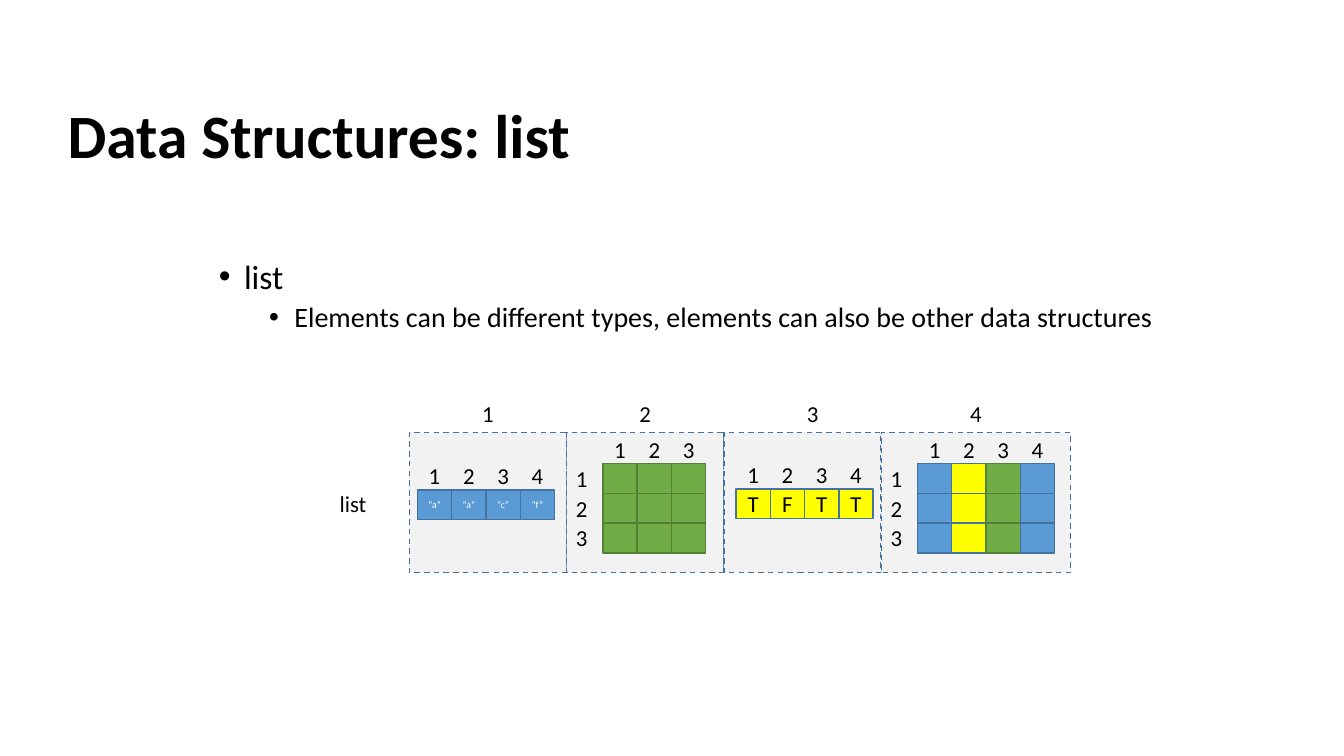
from lxml.etree import SubElement
from pptx import Presentation
from pptx.dml.color import RGBColor
from pptx.enum.dml import MSO_LINE
from pptx.enum.shapes import MSO_SHAPE
from pptx.enum.text import MSO_ANCHOR, MSO_AUTO_SIZE, PP_ALIGN
from pptx.oxml.ns import qn
from pptx.util import Inches, Pt

COLOURS = {
    "text": "000000", "light_text": "FFFFFF", "panel": "F2F2F2",
    "blue": "5B9BD5", "yellow": "FFFF00", "green": "70AD47",
    "blue_line": "43739E", "green_line": "538035",
}
FONT = "Calibri"
LABEL_SIZE = 16.3

# Grid of the diagram, in inches
CELL_WIDTH, CELL_HEIGHT = 0.34, 0.295
LABEL_HEIGHT = 0.38
COLUMN_LABEL_RISE = 0.33
ROW_LABEL_SHIFT = 0.38
PANEL_LEFT, PANEL_TOP, PANEL_HEIGHT = 4.06, 4.29, 1.39
PANEL_WIDTHS = [1.56, 1.56, 1.56, 1.88]
INDEX_LEFTS = [4.66, 6.22, 7.88, 9.5]
INDEX_WIDTH = 0.36


def colour(name):
    return RGBColor.from_string(COLOURS[name])


def place(shape, left, top, width, height):
    shape.left, shape.top = Inches(left), Inches(top)
    shape.width, shape.height = Inches(width), Inches(height)


def write(paragraph, text, size=LABEL_SIZE, ink="text", bold=False,
          align=PP_ALIGN.CENTER, spacing=None, before=None):
    """Fill a paragraph with one formatted run."""
    paragraph.alignment = align
    if spacing:
        paragraph.line_spacing = spacing
    if before is not None:
        paragraph.space_before = Pt(before)
    run = paragraph.add_run()
    run.text = text
    run.font.name, run.font.size, run.font.bold = FONT, Pt(size), bold
    run.font.color.rgb = colour(ink)


def set_margins(frame, horizontal=0, vertical=0):
    frame.margin_left = frame.margin_right = Inches(horizontal)
    frame.margin_top = frame.margin_bottom = Inches(vertical)


def set_bullet(paragraph, margin, hanging):
    properties = paragraph._p.get_or_add_pPr()
    properties.set("marL", str(Inches(margin)))
    properties.set("indent", str(-Inches(hanging)))
    SubElement(properties, qn("a:buFont")).set("typeface", "Arial")
    SubElement(properties, qn("a:buChar")).set("char", "•")


def add_label(shapes, text, left, top, width=CELL_WIDTH, margin=0, **style):
    box = shapes.add_textbox(Inches(left), Inches(top), Inches(width), Inches(LABEL_HEIGHT))
    box.text_frame.word_wrap = True
    set_margins(box.text_frame, margin, 0.05)
    write(box.text_frame.paragraphs[0], text, **style)


def add_box(shapes, left, top, width, height, fill, line, dashed=False):
    box = shapes.add_shape(MSO_SHAPE.RECTANGLE, Inches(left), Inches(top),
                           Inches(width), Inches(height))
    box.shadow.inherit = False
    box.fill.solid()
    box.fill.fore_color.rgb = colour(fill)
    box.line.color.rgb = colour(line)
    box.line.width = Pt(1)
    if dashed:
        box.line.dash_style = MSO_LINE.DASH
    return box


def add_cells(shapes, left, top, fills, rows=1, texts=None, **style):
    """Draw numbered cells: one fill per column, row numbers if several rows."""
    for column, fill in enumerate(fills):
        x = left + column * CELL_WIDTH
        add_label(shapes, str(column + 1), x, top - COLUMN_LABEL_RISE)
        line = "green_line" if fill == "green" else "blue_line"
        for row in range(rows):
            cell = add_box(shapes, x, top + row * CELL_HEIGHT,
                           CELL_WIDTH, CELL_HEIGHT, fill, line)
            if texts:
                frame = cell.text_frame
                set_margins(frame)
                frame.vertical_anchor = MSO_ANCHOR.MIDDLE
                write(frame.paragraphs[0], texts[column], **style)
    if rows > 1:
        for row in range(rows):
            add_label(shapes, str(row + 1), left - ROW_LABEL_SHIFT,
                      top - 0.04 + row * CELL_HEIGHT)


def add_title(slide, text):
    title = slide.shapes.title
    place(title, 0.67, 0.75, 12, 1.25)
    frame = title.text_frame
    frame.auto_size = MSO_AUTO_SIZE.NONE
    frame.vertical_anchor = MSO_ANCHOR.MIDDLE
    set_margins(frame)
    write(frame.paragraphs[0], text, size=44, bold=True, align=PP_ALIGN.LEFT, spacing=0.9)


def add_bullets(slide, items):
    body = slide.placeholders[1]
    place(body, 2.17, 2.58, 9.85, 0.99)
    frame = body.text_frame
    frame.auto_size = MSO_AUTO_SIZE.NONE
    set_margins(frame)
    for level, text in enumerate(items):
        paragraph = frame.add_paragraph() if level else frame.paragraphs[0]
        paragraph.level = level
        write(paragraph, text, size=24 - 4 * level, align=PP_ALIGN.LEFT,
              spacing=0.9, before=10 - 5 * level)
        set_bullet(paragraph, 0.25 + 0.5 * level, 0.25)


def add_list_diagram(slide):
    shapes = slide.shapes.add_group_shape().shapes

    # Dashed panels, one for each list element
    for number, width in enumerate(PANEL_WIDTHS):
        left = PANEL_LEFT + sum(PANEL_WIDTHS[:number])
        add_box(shapes, left, PANEL_TOP, width, PANEL_HEIGHT,
                "panel", "blue_line", dashed=True)
        add_label(shapes, str(number + 1), INDEX_LEFTS[number],
                  PANEL_TOP - 0.37, width=INDEX_WIDTH)

    # Character vector, matrix, logical vector and data frame
    add_cells(shapes, 4.14, 4.86, ["blue"] * 4, texts=["“a”", "“a”", "“c”", "“f”"],
              size=7, ink="light_text")
    add_cells(shapes, 5.98, 4.6, ["green"] * 3, rows=3)
    add_cells(shapes, 7.3, 4.85, ["yellow"] * 4, texts="TFTT")
    add_cells(shapes, 9.1, 4.6, ["blue", "yellow", "green", "blue"], rows=3)


def main():
    presentation = Presentation()
    presentation.slide_width, presentation.slide_height = Inches(13.33), Inches(7.5)
    slide = presentation.slides.add_slide(presentation.slide_layouts[1])

    add_title(slide, "Data Structures: list")
    add_bullets(slide, [
        "list",
        "Elements can be different types, elements can also be other data structures",
    ])
    add_label(slide.shapes, "list", 3.27, 4.81, width=1.53, margin=0.1, align=PP_ALIGN.LEFT)
    add_list_diagram(slide)
    presentation.save("out.pptx")


if __name__ == "__main__":
    main()
